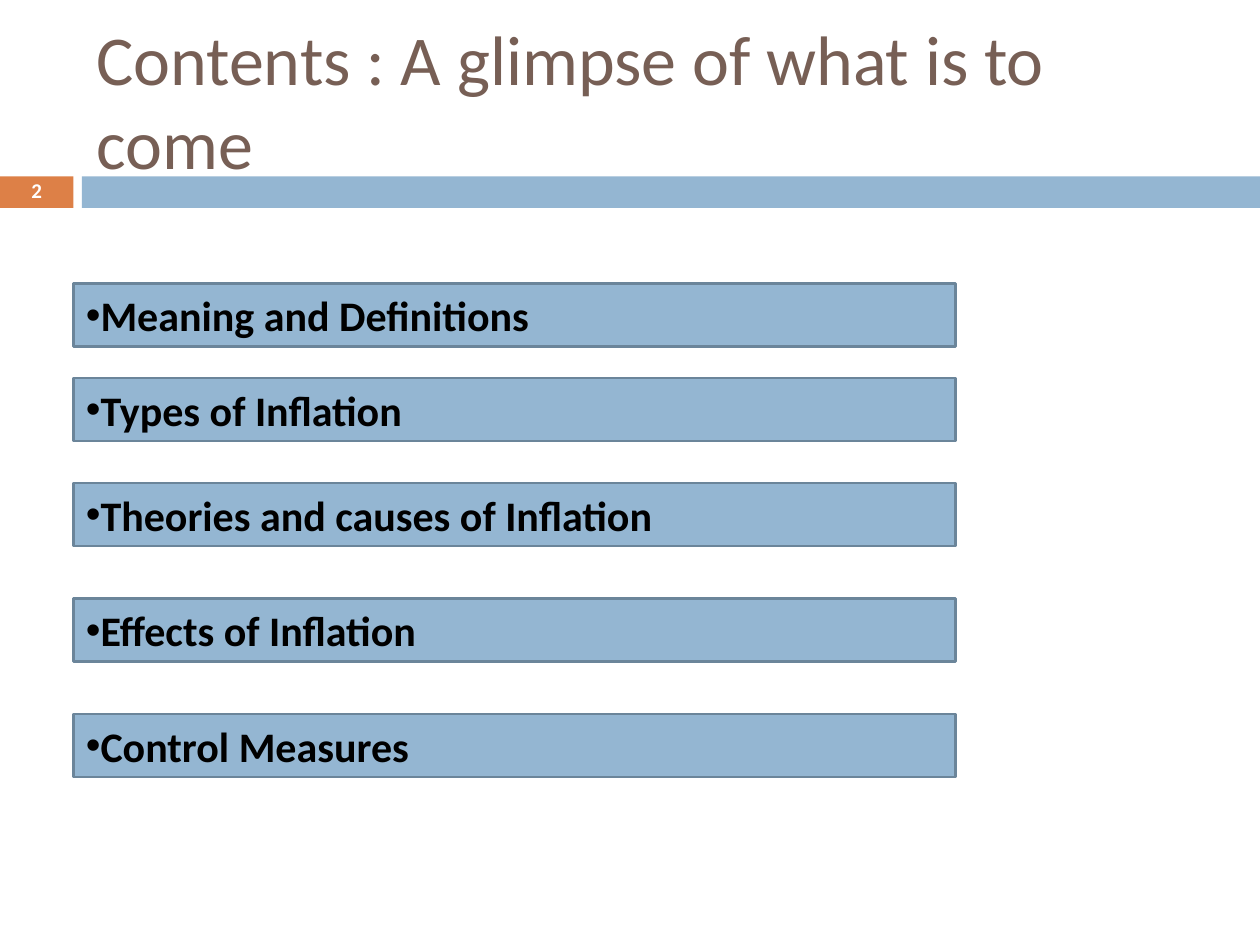
from dataclasses import dataclass
from lxml import etree
from pptx import Presentation
from pptx import util as u
from pptx.dml.color import RGBColor
from pptx.enum import shapes, text
from pptx.oxml.ns import qn

COLS, ROWS = 120, 90
CELL = u.Inches(10) / COLS
LEFT, RIGHT, MID = text.PP_ALIGN.LEFT, text.PP_ALIGN.RIGHT, text.PP_ALIGN.CENTER


@dataclass(frozen=True)
class Theme:
    font: str = "Calibri"
    blue: str = "94B6D2"
    edge: str = "6B859A"
    orange: str = "DD8047"
    brown: str = "775F55"
    black: str = "000000"
    white: str = "FFFFFF"
    title: int = 40
    item: int = 24
    number: int = 12


THEME = Theme()


def rgb(code):
    return RGBColor.from_string(code)


def place(*cells):
    """Turn columns and rows of the grid into lengths."""
    return [u.Emu(round(n * CELL)) for n in cells]


def write(shape, words, size, color, bold=False, align=LEFT, space=None,
          bullet=None):
    frame = shape.text_frame
    frame.word_wrap = True
    frame.vertical_anchor = text.MSO_ANCHOR.MIDDLE
    para = frame.paragraphs[0]
    para.alignment = align
    if space:
        para.line_spacing = space
    if bullet:
        props = para._p.get_or_add_pPr()
        etree.SubElement(props, qn("a:buFont"), typeface="Arial")
        etree.SubElement(props, qn("a:buChar"), char=bullet)
    run = para.add_run()
    run.text = words
    font = run.font
    font.name, font.size, font.bold = THEME.font, u.Pt(size), bold
    font.color.rgb = rgb(color)


def bar(slide, cells, fill, edge=None):
    shape = slide.shapes.add_shape(shapes.MSO_SHAPE.RECTANGLE, *place(*cells))
    shape.shadow.inherit = False
    shape.fill.solid()
    shape.fill.fore_color.rgb = rgb(fill)
    if edge:
        shape.line.color.rgb = rgb(edge)
        shape.line.width = u.Pt(1.5)
    else:
        shape.line.fill.background()
    return shape


def label(slide, cells, words, **form):
    box = slide.shapes.add_textbox(*place(*cells))
    write(box, words, **form)


def head(slide):
    bar(slide, (0, 16.8, 7, 3), THEME.orange)
    bar(slide, (7.8, 16.8, COLS - 7.8, 3), THEME.blue)
    label(slide, (8, 3, 107, 13), "Contents : A glimpse of what is to come",
          size=THEME.title, color=THEME.brown)
    label(slide, (0, 16.7, 7, 3.2), "2", size=THEME.number,
          color=THEME.white, bold=True, align=MID, space=0.8)


def topics(slide):
    rows = {
        27: "Meaning and Definitions",
        36: "Types of Inflation",
        46: "Theories and causes of Inflation",
        57: "Effects of Inflation",
        68: "Control Measures",
    }
    for row, words in rows.items():
        shape = bar(slide, (7, row, 84, 6), THEME.blue, THEME.edge)
        write(shape, words, size=THEME.item, color=THEME.black, bold=True,
              bullet="•")


def main():
    deck = Presentation()
    deck.slide_width, deck.slide_height = place(COLS, ROWS)
    slide = deck.slides.add_slide(deck.slide_layouts[6])
    head(slide)
    topics(slide)
    deck.save("out.pptx")


if __name__ == "__main__":
    main()
